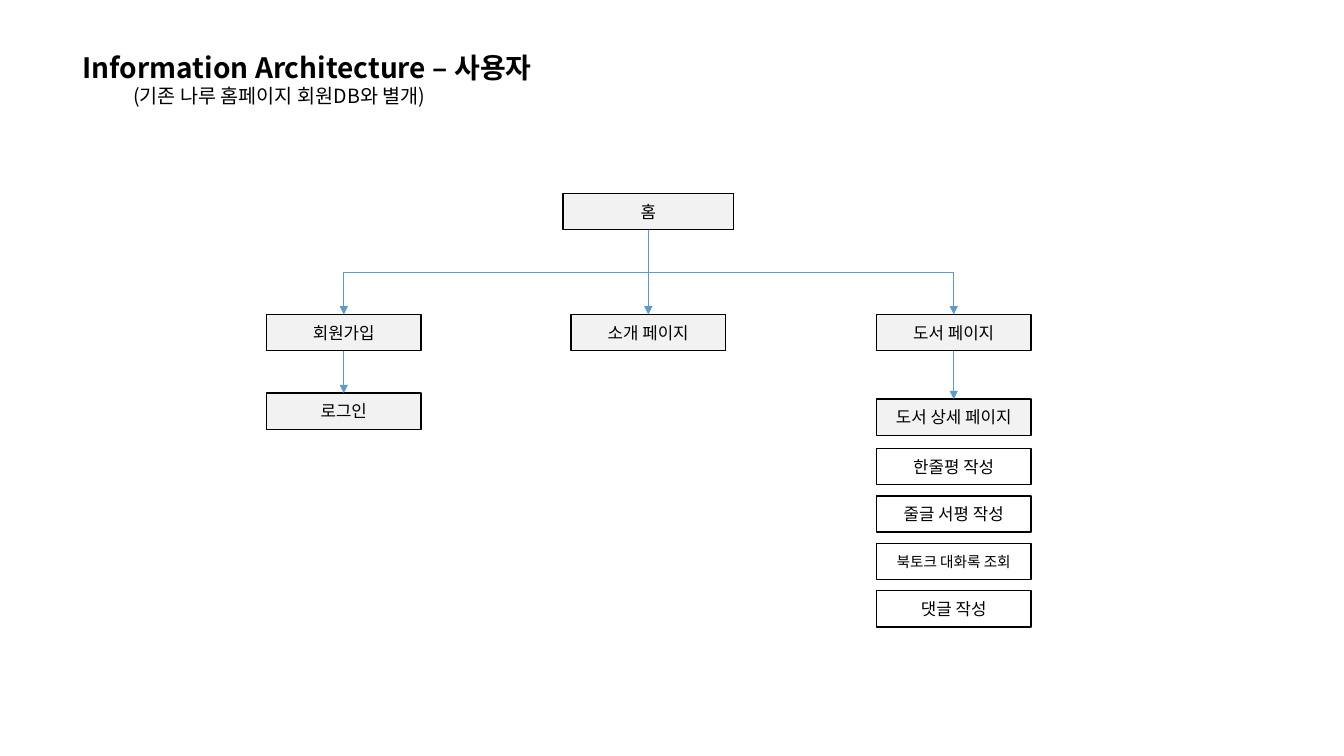
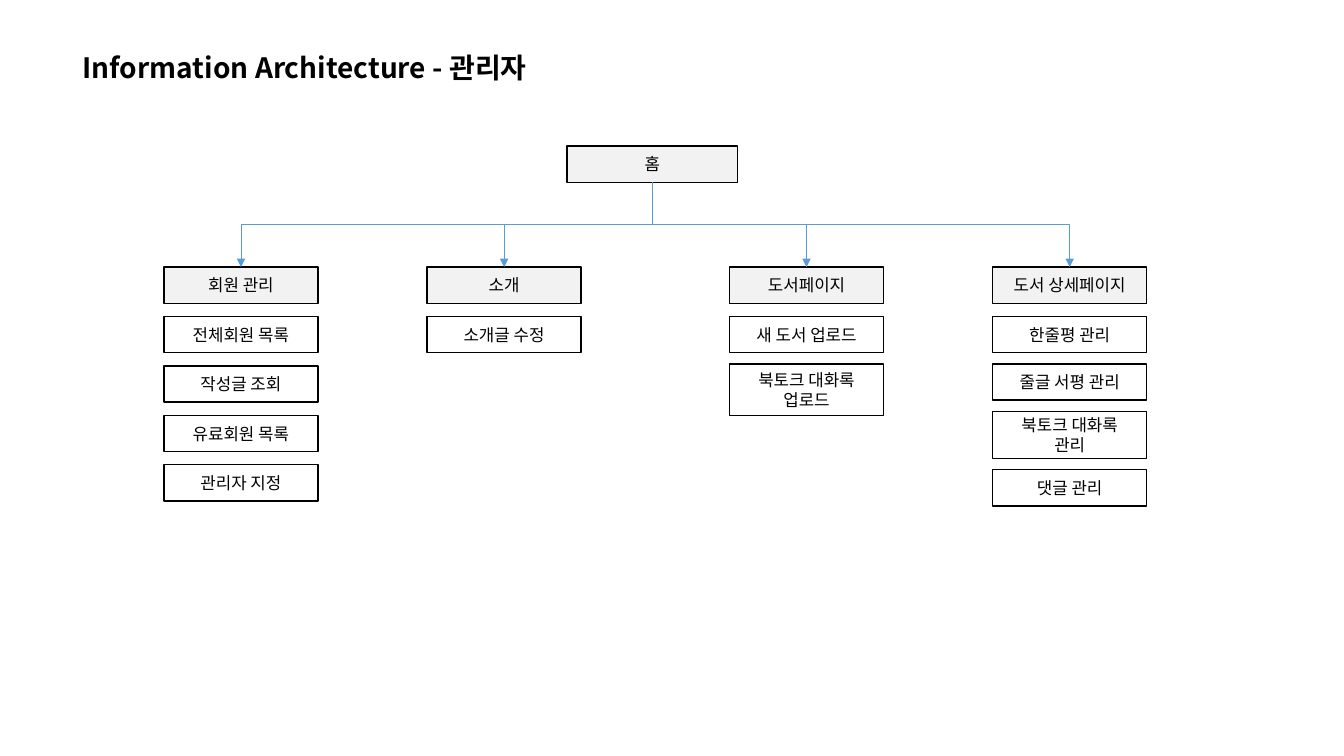
import pptx
import pptx.util
import pptx.dml.color
import pptx.enum.shapes
import pptx.enum.text
import pptx.oxml
import pptx.oxml.ns

Inches, Pt = pptx.util.Inches, pptx.util.Pt
RGB = pptx.dml.color.RGBColor
qn = pptx.oxml.ns.qn
CONNECTOR = pptx.enum.shapes.MSO_CONNECTOR
ALIGN, ANCHOR = pptx.enum.text.PP_ALIGN, pptx.enum.text.MSO_ANCHOR

# Content: a column is (centre, gap between actions, pages);
# a page is (name, gap above it, actions); an action is (label, height, size)
ROW = 0.36
SLIDES = [
    dict(
        title="Information Architecture – 사용자",
        subtitle="(기존 나루 홈페이지 회원DB와 별개)",
        home=("홈", 6.43, 1.92),
        columns=[
            (3.41, 0.11, [("회원가입", 0, []), ("로그인", 0.42, [])]),
            (6.43, 0.11, [("소개 페이지", 0, [])]),
            (9.46, 0.11, [("도서 페이지", 0, []),
                          ("도서 상세 페이지", 0.48, [
                              ("한줄평 작성", ROW, 12),
                              ("줄글 서평 작성", ROW, 12),
                              ("북토크 대화록 조회", ROW, 10.5),
                              ("댓글 작성", ROW, 12)])]),
        ],
    ),
    dict(
        title="Information Architecture - 관리자",
        subtitle=None,
        home=("홈", 6.47, 1.45),
        columns=[
            (2.39, 0.13, [("회원 관리", 0, [
                ("전체회원 목록", ROW, 12),
                ("작성글 조회", ROW, 12),
                ("유료회원 목록", ROW, 12),
                ("관리자 지정", ROW, 12)])]),
            (5.0, 0.11, [("소개", 0, [("소개글 수정", ROW, 12)])]),
            (8.0, 0.11, [("도서페이지", 0, [
                ("새 도서 업로드", ROW, 12),
                ("북토크 대화록\n업로드", 0.51, 12)])]),
            (10.61, 0.11, [("도서 상세페이지", 0, [
                ("한줄평 관리", ROW, 12),
                ("줄글 서평 관리", ROW, 12),
                ("북토크 대화록\n관리", 0.47, 12),
                ("댓글 관리", ROW, 12)])]),
        ],
    ),
]

# Shared style
FONT = "Noto Sans CJK KR"
BLACK, WHITE = RGB(0, 0, 0), RGB(0xFF, 0xFF, 0xFF)
PAGE_FILL, ARROW = RGB(0xF2, 0xF2, 0xF2), RGB(0x5B, 0x9B, 0xD5)
HOME_W, BOX_W = 1.69, 1.53
HOME_TO_PAGES = 1.2
PAGE_TO_ACTION = 0.13
BOTTOM, TOP = 2, 0  # connection sites of a rectangle


def style_text(p, size, align, bold=False):
    p.alignment = align
    for r in p.runs:
        r.font.name, r.font.size, r.font.bold = FONT, Pt(size), bold
        r.font.color.rgb = BLACK
        ea = pptx.oxml.parse_xml(
            '<a:ea %s typeface="%s"/>' % (pptx.oxml.ns.nsdecls("a"), FONT))
        r.font._element.find(qn("a:latin")).addnext(ea)


def add_title(s, title, subtitle):
    sp = s.shapes.title
    sp.left, sp.top, sp.width = Inches(0.72), Inches(0.45), Inches(5.02)
    sp.height = Inches(0.77 if subtitle else 0.44)
    tf = sp.text_frame
    tf.text = title
    tf.word_wrap = True
    tf.auto_size = pptx.enum.text.MSO_AUTO_SIZE.NONE
    tf.vertical_anchor = ANCHOR.TOP
    style_text(tf.paragraphs[0], 20, ALIGN.LEFT, bold=True)
    if subtitle:
        p = tf.add_paragraph()
        p.text = "\t" + subtitle
        style_text(p, 14, ALIGN.LEFT)


def add_box(s, text, centre, top, width=BOX_W, height=ROW, fill=PAGE_FILL, size=12):
    sp = s.shapes.add_shape(
        pptx.enum.shapes.MSO_SHAPE.RECTANGLE,
        Inches(centre - width / 2), Inches(top), Inches(width), Inches(height))
    sp.shadow.inherit = False
    sp.fill.solid()
    sp.fill.fore_color.rgb = fill
    sp.line.color.rgb, sp.line.width = BLACK, Pt(1)
    tf = sp.text_frame
    tf.text = text
    tf.vertical_anchor = ANCHOR.MIDDLE
    for p in tf.paragraphs:
        style_text(p, size, ALIGN.CENTER)
    return sp


def add_arrow(s, upper, lower):
    """Arrow down from one box to another, with an elbow where they are offset."""
    x0, x1 = (b.left + b.width // 2 for b in (upper, lower))
    y0, y1 = upper.top + upper.height, lower.top
    bent = abs(x1 - x0) > Inches(0.02)
    c = s.shapes.add_connector(
        CONNECTOR.ELBOW if bent else CONNECTOR.STRAIGHT, x0, y0, x1, y1)
    c.begin_connect(upper, BOTTOM)
    c.end_connect(lower, TOP)
    if bent:
        # A vertical elbow is a horizontal one turned a quarter about its centre
        xfrm = c._element.spPr.find(qn("a:xfrm"))
        right = x1 > x0
        xfrm.set("rot", "16200000" if right else "5400000")
        xfrm.set("flipH", "1" if right else "0")
        c.width, c.height = y1 - y0, abs(x1 - x0)
        c.left = (x0 + x1 - c.width) // 2
        c.top = (y0 + y1 - c.height) // 2
    c.line.color.rgb, c.line.width = ARROW, Pt(0.5)
    ns = pptx.oxml.ns.nsdecls("a")
    c.line._get_or_add_ln().append(
        pptx.oxml.parse_xml('<a:tailEnd %s type="triangle"/>' % ns))
    c._element.spPr.append(pptx.oxml.parse_xml("<a:effectLst %s/>" % ns))


def add_column(s, home, centre, gap, pages, top):
    above = home
    for name, lead, actions in pages:
        top += lead
        page = add_box(s, name, centre, top)
        add_arrow(s, above, page)
        above = page
        top += ROW
        for i, (label, height, size) in enumerate(actions):
            top += gap if i else PAGE_TO_ACTION
            add_box(s, label, centre, top, height=height, fill=WHITE, size=size)
            top += height


# Build
prs = pptx.Presentation()
prs.slide_width, prs.slide_height = Inches(13.33), Inches(7.5)
title_only = prs.slide_layouts[5]
for content in SLIDES:
    s = prs.slides.add_slide(title_only)
    add_title(s, content["title"], content["subtitle"])
    label, centre, top = content["home"]
    home = add_box(s, label, centre, top, width=HOME_W)
    for column in content["columns"]:
        add_column(s, home, *column, top + HOME_TO_PAGES)

prs.save("out.pptx")
